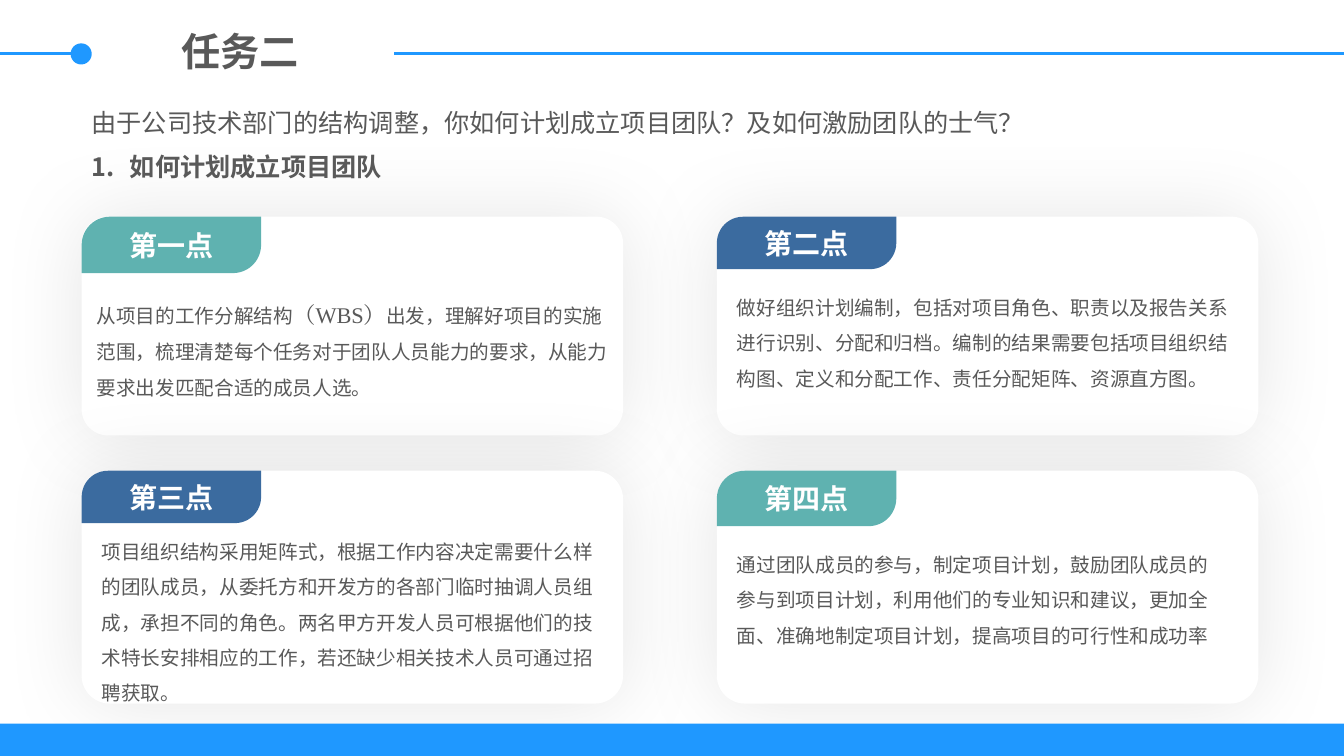
from dataclasses import dataclass

from lxml import etree
from pptx import Presentation
from pptx.dml.color import RGBColor
from pptx.enum import shapes, text
from pptx.oxml import ns
from pptx.util import Inches, Pt


@dataclass(frozen=True)
class Theme:
    """Colours, fonts and type sizes of the slide."""
    accent: str = "1F98FF"
    teal: str = "5FB2B0"
    blue: str = "3B6B9F"
    white: str = "FFFFFF"
    ink: str = "595959"
    sans: str = "Noto Sans CJK SC"
    serif: str = "Times New Roman"
    title: int = 28
    tab: int = 20
    lead: int = 18
    acronym: int = 16
    body: int = 14
    rule: float = 2.25


THEME = Theme()
WIDTH, HEIGHT = 13.33, 7.5
TITLE = "任务二"
QUESTION = "由于公司技术部门的结构调整，你如何计划成立项目团队？及如何激励团队的士气？"
HEADING = "如何计划成立项目团队"
ACRONYM = "（WBS）"
CARDS = [
    ("第一点", THEME.teal, 0.56, (0.86, 2.81, 5.27, 1.17),
     ["从项目的工作分解结构", ACRONYM,
      "出发，理解好项目的实施范围，梳理清楚每个任务对于团队人员能力的要求，从能力要求出发匹配合适的成员人选。"]),
    ("第二点", THEME.blue, 0.52, (7.21, 2.77, 5.09, 1.12),
     ["做好组织计划编制，包括对项目角色、职责以及报告关系进行识别、分配和归档。"
      "编制的结果需要包括项目组织结构图、定义和分配工作、责任分配矩阵、资源直方图。"]),
    ("第三点", THEME.blue, 0.52, (0.91, 5.19, 5.19, 1.83),
     ["项目组织结构采用矩阵式，根据工作内容决定需要什么样的团队成员，"
      "从委托方和开发方的各部门临时抽调人员组成，承担不同的角色。"
      "两名甲方开发人员可根据他们的技术特长安排相应的工作，若还缺少相关技术人员可通过招聘获取。"]),
    ("第四点", THEME.teal, 0.55, (7.21, 5.32, 4.92, 1.12),
     ["通过团队成员的参与，制定项目计划，鼓励团队成员的参与到项目计划，"
      "利用他们的专业知识和建议，更加全面、准确地制定项目计划，提高项目的可行性和成功率"]),
]
COLUMNS = (0.81, 7.11)
ROWS = ((2.15, 2.17), (4.67, 2.31))
CARD_WIDTH, TAB_WIDTH = 5.37, 1.78
RULE_TOP = 0.53
RULES = ((0, 0.72), (3.91, WIDTH))


def add_element(parent, tag, **attributes):
    """Append a DrawingML element."""
    return etree.SubElement(parent, ns.qn(tag), attributes)


def style(font, size, color=THEME.ink, bold=False, name=THEME.sans):
    """Format a font for Latin and East Asian text."""
    font.size, font.bold, font.name = Pt(size), bold, name
    font.color.rgb = RGBColor.from_string(color)
    add_element(font._element, "a:ea", typeface=name)


def add_panel(parent, kind, area, color, adjustments=()):
    """Add a filled shape without outline or shadow."""
    panel = parent.add_shape(kind, *map(Inches, area))
    panel.shadow.inherit = False
    panel.fill.solid()
    panel.fill.fore_color.rgb = RGBColor.from_string(color)
    panel.line.fill.background()
    for index, value in enumerate(adjustments):
        panel.adjustments[index] = value
    return panel


def add_copy(parent, area, spans, size, spacing=None, bold=False, number=False):
    """Add a wrapping text box with one paragraph."""
    box = parent.add_textbox(*map(Inches, area))
    box.text_frame.word_wrap = True
    box.text_frame.auto_size = text.MSO_AUTO_SIZE.SHAPE_TO_FIT_TEXT
    para = box.text_frame.paragraphs[0]
    if spacing:
        para.line_spacing = spacing
    if number:
        properties = para._p.get_or_add_pPr()
        properties.set("marL", str(Inches(0.38)))
        properties.set("indent", str(Inches(-0.38)))
        add_element(properties, "a:buFont", typeface="+mj-lt")
        add_element(properties, "a:buAutoNum", type="arabicPeriod")
    for words in spans:
        span = para.add_run()
        span.text = words
        if words == ACRONYM:
            style(span.font, THEME.acronym, name=THEME.serif)
    style(para.font, size, bold=bold)


def add_card(page, column, row, label, color, tab_height, area, spans):
    """Add a grouped card with a coloured tab and its text."""
    left, (top, height) = COLUMNS[column], ROWS[row]
    group = page.shapes.add_group_shape().shapes
    card = add_panel(group, shapes.MSO_SHAPE.ROUNDED_RECTANGLE,
                     (left, top, CARD_WIDTH, height), THEME.white, (0.121,))
    effects = card._element.spPr.find(ns.qn("a:effectLst"))
    shadow = add_element(effects, "a:outerShdw", blurRad=str(Pt(60)), dist="0",
                         dir="0", algn="ctr", rotWithShape="0")
    shade = add_element(shadow, "a:srgbClr", val="000000")
    add_element(shade, "a:alpha", val="10000")
    tab = add_panel(group, shapes.MSO_SHAPE.ROUND_2_DIAG_RECTANGLE,
                    (left, top, TAB_WIDTH, tab_height), color, (0.5, 0))
    tab.text_frame.text = label
    tab.text_frame.vertical_anchor = text.MSO_ANCHOR.MIDDLE
    para = tab.text_frame.paragraphs[0]
    para.alignment = text.PP_ALIGN.CENTER
    style(para.font, THEME.tab, THEME.white, True)
    add_copy(group, area, spans, THEME.body, 1.5)


def add_title(page):
    """Place and format the title placeholder."""
    title = page.shapes.title
    title.left, title.top, title.width, title.height = map(Inches, (0.99, 0.22, 2.78, 0.57))
    frame = title.text_frame
    frame.text = TITLE
    frame.auto_size = text.MSO_AUTO_SIZE.NONE
    frame.vertical_anchor = text.MSO_ANCHOR.MIDDLE
    para = frame.paragraphs[0]
    para.alignment = text.PP_ALIGN.CENTER
    style(para.font, THEME.title, bold=True)


def add_rule(page, start, end):
    """Draw a horizontal header line."""
    rule = page.shapes.add_connector(shapes.MSO_CONNECTOR.STRAIGHT, *map(
        Inches, (start, RULE_TOP, end, RULE_TOP)))
    rule.line.color.rgb = RGBColor.from_string(THEME.accent)
    rule.line.width = Pt(THEME.rule)
    add_element(rule._element.spPr, "a:effectLst")


def main():
    """Build and save the slide."""
    deck = Presentation()
    deck.slide_width, deck.slide_height = Inches(WIDTH), Inches(HEIGHT)
    page = deck.slides.add_slide(deck.slide_layouts.get_by_name("Title Only"))
    for index, card in enumerate(CARDS):
        row, column = divmod(index, len(COLUMNS))
        add_card(page, column, row, *card)
    add_title(page)
    for start, end in RULES:
        add_rule(page, start, end)
    add_panel(page.shapes, shapes.MSO_SHAPE.OVAL, (0.7, 0.43, 0.21, 0.21), THEME.accent)
    add_panel(page.shapes, shapes.MSO_SHAPE.RECTANGLE,
              (0, 7.18, WIDTH, HEIGHT - 7.18), THEME.accent)
    add_copy(page.shapes, (0.81, 0.87, 9.53, 0.5), [QUESTION], THEME.lead, 1.5)
    add_copy(page.shapes, (0.81, 1.45, 3.73, 0.4), [HEADING], THEME.lead,
             bold=True, number=True)
    deck.save("out.pptx")


if __name__ == "__main__":
    main()
